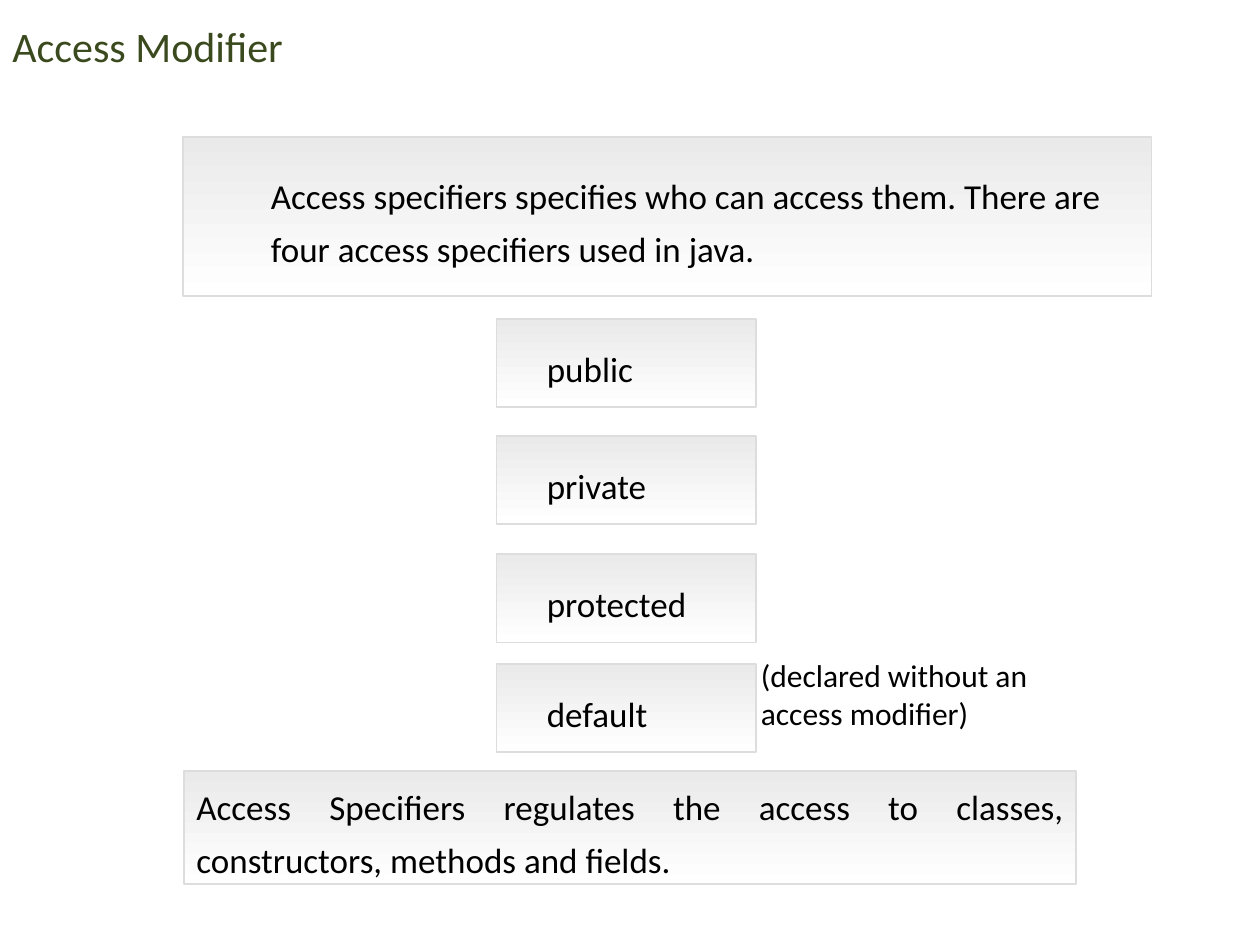
from pptx import Presentation
from pptx.dml.color import RGBColor
from pptx.enum.shapes import MSO_SHAPE as Shape
from pptx.enum.text import MSO_ANCHOR as Anchor, PP_ALIGN as Align
from pptx.util import Pt

BLACK = RGBColor(0x00, 0x00, 0x00)
OLIVE = RGBColor(0x3B, 0x4A, 0x1E)
BORDER = RGBColor(0xDD, 0xDD, 0xDD)
PANEL_TOP = RGBColor(0xEA, 0xEA, 0xEA)
PANEL_BOTTOM = RGBColor(0xFF, 0xFF, 0xFF)


def write_text(box, text, size=20, color=BLACK, align=Align.LEFT,
               anchor=Anchor.MIDDLE, spacing=None, left=7.2, inset=7.2):
    frame = box.text_frame
    frame.word_wrap = True
    frame.vertical_anchor = anchor
    frame.margin_left, frame.margin_right = Pt(left), Pt(7.2)
    frame.margin_top = frame.margin_bottom = Pt(inset)
    para = frame.paragraphs[0]
    para.alignment = align
    if spacing:
        para.line_spacing = Pt(spacing)
    span = para.add_run()
    span.text = text
    span.font.name = "Calibri"
    span.font.size = Pt(size)
    span.font.color.rgb = color


def add_label(page, bounds, text, **style):
    box = page.shapes.add_textbox(*map(Pt, bounds))
    write_text(box, text, inset=3.6, **style)


def add_panel(page, bounds, text, **style):
    panel = page.shapes.add_shape(Shape.RECTANGLE, *map(Pt, bounds))
    panel.shadow.inherit = False
    panel.fill.gradient()
    panel.fill.gradient_angle = 270
    for stop, color in zip(panel.fill.gradient_stops, (PANEL_TOP, PANEL_BOTTOM)):
        stop.color.rgb = color
    panel.line.color.rgb = BORDER
    panel.line.width = Pt(1)
    write_text(panel, text, spacing=29.9, **style)


def main():
    deck = Presentation()
    deck.slide_width, deck.slide_height = Pt(720), Pt(540)
    page = deck.slides.add_slide(deck.slide_layouts[6])

    add_label(page, (427.7, 371.5, 204.5, 50.4),
              "(declared without an access modifier)", size=18, anchor=Anchor.TOP)
    add_label(page, (0, 10.1, 687.6, 32.4), "Access Modifier", size=24, color=OLIVE)

    add_panel(page, (104.4, 78.5, 553.7, 90.7),
              "Access specifiers specifies who can access them. "
              "There are four access specifiers used in java.", left=50.4)
    modifiers = {"public": 182.2, "private": 249.1, "protected": 316.8, "default": 379.4}
    for modifier, top in modifiers.items():
        add_panel(page, (283.7, top, 148.3, 50.4), modifier,
                  align=Align.JUSTIFY, left=28.8)
    add_panel(page, (105.1, 440.6, 509.8, 64.8),
              "Access Specifiers regulates the access to classes, "
              "constructors, methods and fields.", align=Align.JUSTIFY)

    deck.save("out.pptx")


if __name__ == "__main__":
    main()
